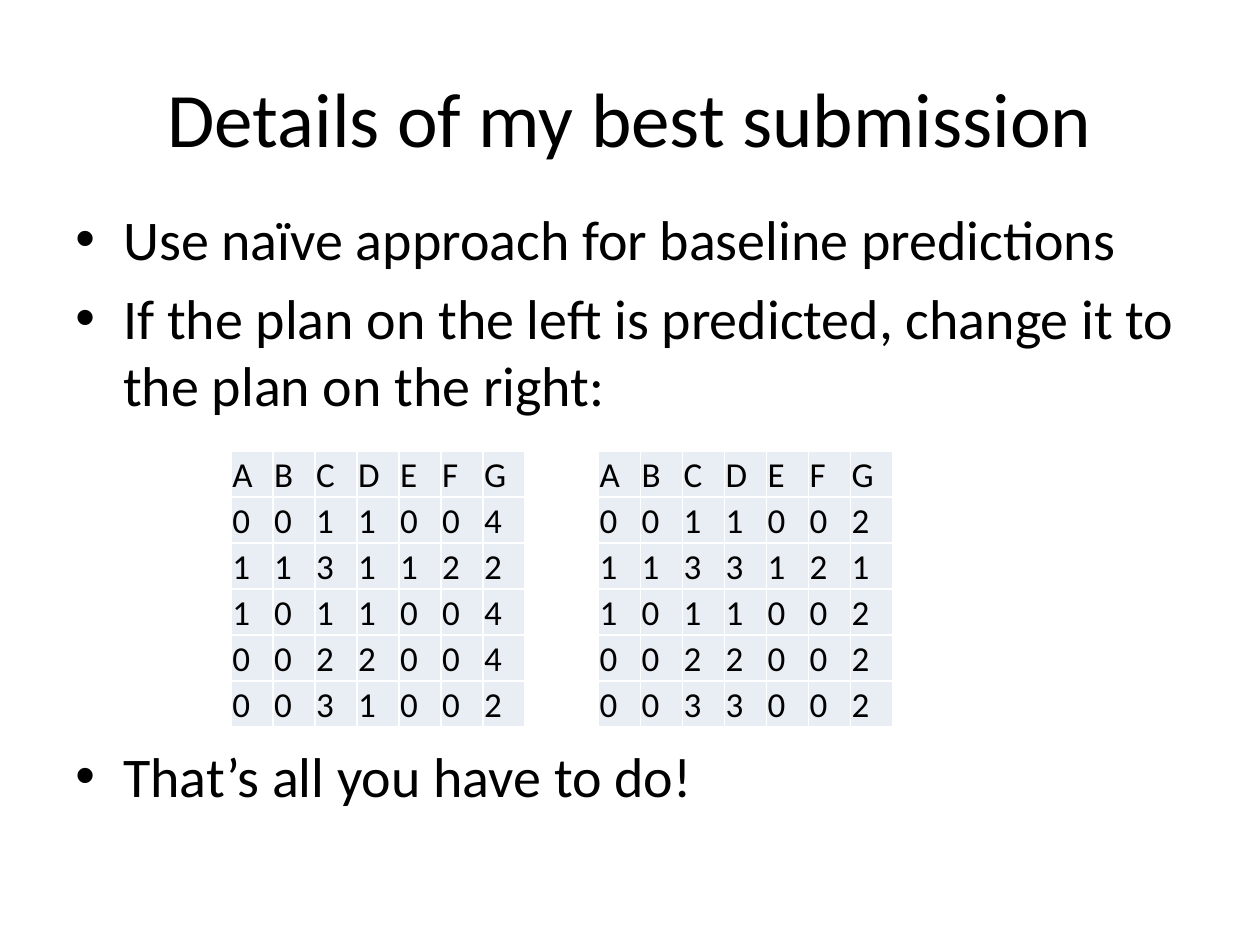
from pptx import Presentation
from pptx.dml.color import RGBColor
from pptx.enum.text import MSO_ANCHOR, PP_ALIGN
from pptx.oxml.xmlchemy import OxmlElement
from pptx.util import Inches, Pt

TITLE = "Details of my best submission"
# Bullet text, space before in points; the last one clears the tables
BULLETS = [
    ("Use naïve approach for baseline predictions", 6.4),
    ("If the plan on the left is predicted, change it to the plan on the right:", 6.4),
    ("That’s all you have to do!", 185),
]
HEAD = "ABCDEFG"
# Left edge in grid columns, then the rows of the plan
PLANS = [
    (5.5, [HEAD, "0011004", "1131122", "1011004", "0022004", "0031002"]),
    (14.25, [HEAD, "0011002", "1133121", "1011002", "0022002", "0033002"]),
]
COLORS = {"ink": "000000", "cell": "E9EDF4"}
FONT = "Calibri"
WIDE, HIGH = Inches(10), Inches(7.5)
COL, ROW = WIDE / 30, Inches(2.19) / 6
EDGE = 0.05
PLAN_TOP = Inches(3.58)


def write(para, text, size):
    run = para.add_run()
    run.text = text
    run.font.name, run.font.size = FONT, Pt(size)
    run.font.color.rgb = RGBColor.from_string(COLORS["ink"])


def add_box(slide, top, high):
    """Add a wrapping text frame between the side margins."""
    box = slide.shapes.add_textbox(
        int(WIDE * EDGE), int(HIGH * top), int(WIDE * (1 - 2 * EDGE)), int(HIGH * high))
    box.text_frame.word_wrap = True
    return box.text_frame


def add_bullet(para):
    props = para._p.get_or_add_pPr()
    props.set("marL", str(Inches(0.38)))
    props.set("indent", str(-Inches(0.38)))
    for tag, key, value in [("a:buFont", "typeface", "Arial"), ("a:buChar", "char", "•")]:
        mark = OxmlElement(tag)
        mark.set(key, value)
        props.append(mark)


def add_plan(slide, left, rows):
    count = len(HEAD)
    table = slide.shapes.add_table(
        len(rows), count, int(left * COL), PLAN_TOP,
        int(count * COL), int(len(rows) * ROW)).table
    table.first_row = table.horz_banding = False
    for col in table.columns:
        col.width = int(COL)
    for r, row in enumerate(rows):
        table.rows[r].height = int(ROW)
        for c, text in enumerate(row):
            cell = table.cell(r, c)
            cell.margin_left = cell.margin_right = cell.margin_top = Inches(0.01)
            cell.margin_bottom = 0
            cell.vertical_anchor = MSO_ANCHOR.BOTTOM
            cell.fill.solid()
            cell.fill.fore_color.rgb = RGBColor.from_string(COLORS["cell"])
            write(cell.text_frame.paragraphs[0], text, 20)


def main():
    deck = Presentation()
    deck.slide_width, deck.slide_height = WIDE, HIGH
    slide = deck.slides.add_slide(deck.slide_layouts[6])

    title = add_box(slide, 0.04, 1 / 6)
    title.vertical_anchor = MSO_ANCHOR.MIDDLE
    title.paragraphs[0].alignment = PP_ALIGN.CENTER
    write(title.paragraphs[0], TITLE, 44)

    body = add_box(slide, 0.21, 0.68)
    for i, (text, gap) in enumerate(BULLETS):
        para = body.add_paragraph() if i else body.paragraphs[0]
        para.space_before = Pt(gap)
        add_bullet(para)
        write(para, text, 32)

    for left, rows in PLANS:
        add_plan(slide, left, rows)
    deck.save("out.pptx")


if __name__ == "__main__":
    main()
